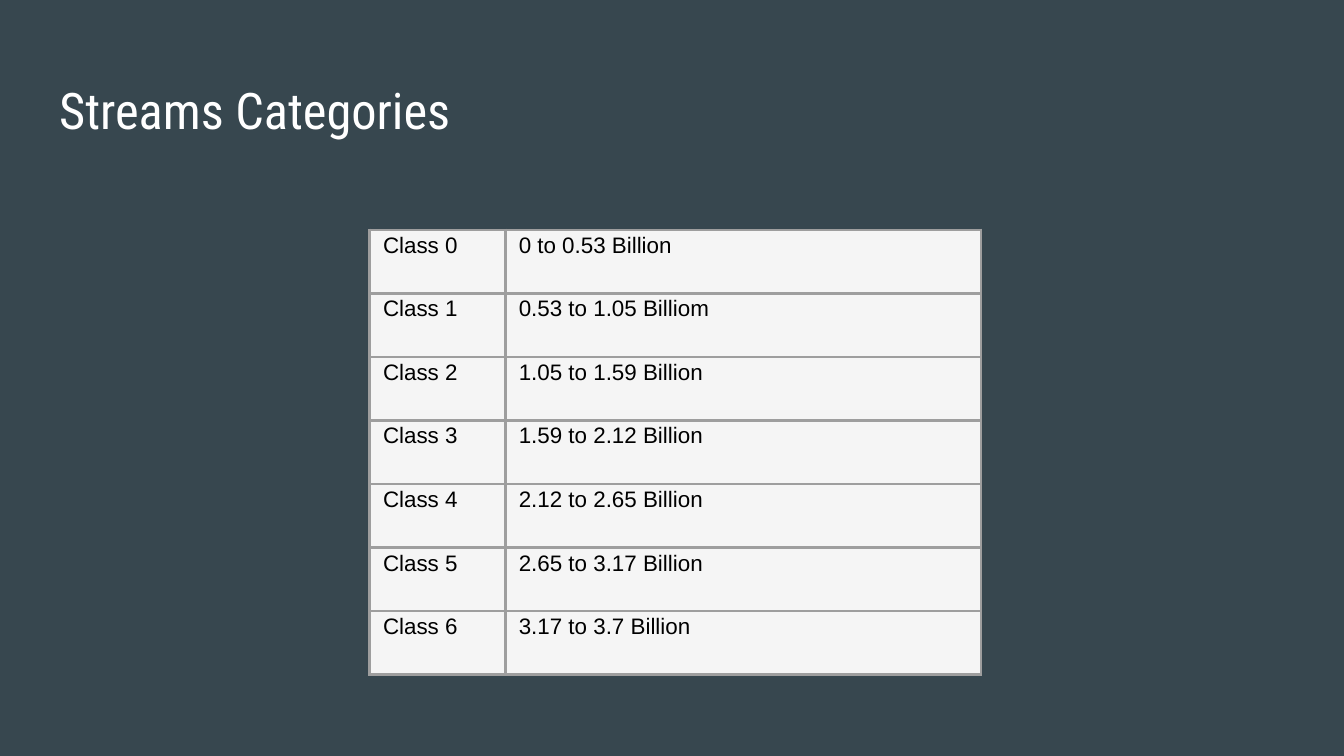
from lxml import etree
from pptx import Presentation
from pptx.dml.color import RGBColor
from pptx.enum.text import MSO_ANCHOR, PP_ALIGN
from pptx.oxml.ns import qn
from pptx.util import Inches, Pt

TOP = MSO_ANCHOR.TOP
LEFT = PP_ALIGN.LEFT

SLATE = RGBColor(0x37, 0x47, 0x4F)
WHITE = RGBColor(0xFF, 0xFF, 0xFF)
BLACK = RGBColor(0x00, 0x00, 0x00)
CELL_GREY = RGBColor(0xF5, 0xF5, 0xF5)
BORDER_GREY = RGBColor(0x9E, 0x9E, 0x9E)

STREAM_RANGES = [
    "0 to 0.53 Billion",
    "0.53 to 1.05 Billiom",
    "1.05 to 1.59 Billion",
    "1.59 to 2.12 Billion",
    "2.12 to 2.65 Billion",
    "2.65 to 3.17 Billion",
    "3.17 to 3.7 Billion",
]


def write_text(frame, text, *, font, size, color, line_spacing=1.0):
    para = frame.paragraphs[0]
    para.alignment = LEFT
    para.line_spacing = line_spacing
    span = para.add_run()
    span.text = text
    span.font.name = font
    span.font.size = Pt(size)
    span.font.color.rgb = color


def set_margins(holder):
    holder.margin_left = holder.margin_right = Inches(0.1)
    holder.margin_top = holder.margin_bottom = Inches(0.1)


class SlideBuilder:
    """Holds the style and the current slide."""

    title_style = dict(font="Roboto Condensed", size=27, color=WHITE)
    cell_style = dict(font="Arial", size=12, color=BLACK, line_spacing=0.5)
    border_width = Pt(1.5)

    def __init__(self, page):
        self.page = page
        page.background.fill.solid()
        page.background.fill.fore_color.rgb = SLATE

    def title(self, text, left, top, width, height):
        box = self.page.shapes.title
        box.left, box.top, box.width, box.height = left, top, width, height
        frame = box.text_frame
        frame.word_wrap = True
        frame.vertical_anchor = TOP
        set_margins(frame)
        write_text(frame, text, **self.title_style)

    def table(self, rows, left, top, column_widths, height):
        table = self.page.shapes.add_table(
            len(rows), len(column_widths), left, top, sum(column_widths), height
        ).table
        table.first_row = table.horz_banding = False
        for column, width in zip(table.columns, column_widths):
            column.width = width
        for row, texts in zip(table.rows, rows):
            for cell, text in zip(row.cells, texts):
                self.cell(cell, text)

    def cell(self, cell, text):
        set_margins(cell)
        cell.vertical_anchor = TOP
        write_text(cell.text_frame, text, **self.cell_style)
        # Borders come before the fill in the cell properties
        properties = cell._tc.get_or_add_tcPr()
        for side in ("a:lnL", "a:lnR", "a:lnT", "a:lnB"):
            line = etree.SubElement(properties, qn(side), w=str(self.border_width))
            fill = etree.SubElement(line, qn("a:solidFill"))
            etree.SubElement(fill, qn("a:srgbClr"), val=str(BORDER_GREY))
        cell.fill.solid()
        cell.fill.fore_color.rgb = CELL_GREY


def main():
    # Widescreen page, 16 to 9
    deck = Presentation()
    deck.slide_width = Inches(10)
    deck.slide_height = deck.slide_width * 9 // 16
    title_only = deck.slide_layouts[5]
    builder = SlideBuilder(deck.slides.add_slide(title_only))

    # Table of stream classes
    rows = [(f"Class {number}", text) for number, text in enumerate(STREAM_RANGES)]
    builder.table(rows, Inches(2.75), Inches(1.71),
                  [Inches(1.01), Inches(3.54)], Inches(3.31))

    # Title
    builder.title("Streams Categories",
                  Inches(0.34), Inches(0.49), Inches(9.32), Inches(0.63))

    deck.save("out.pptx")


if __name__ == "__main__":
    main()
